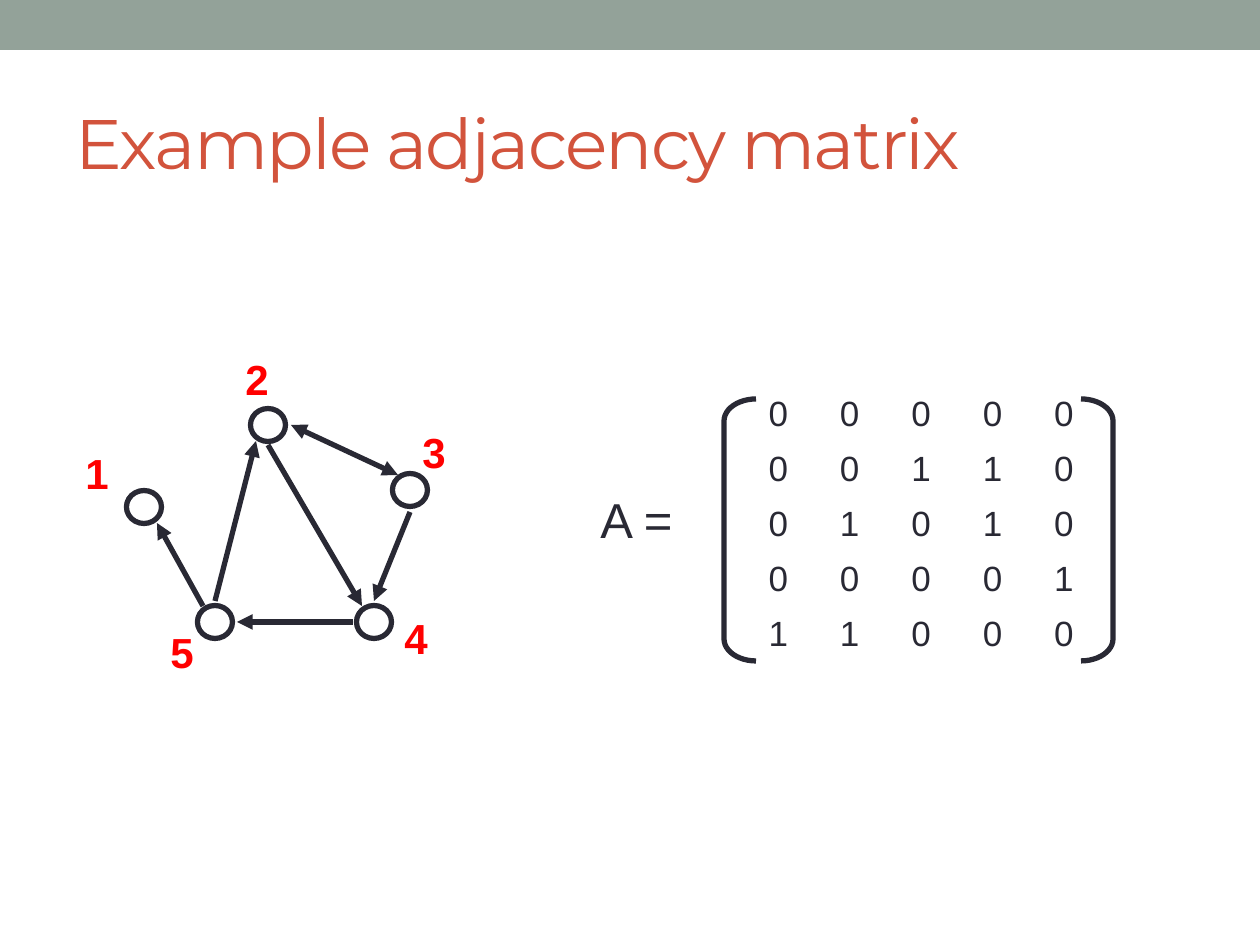
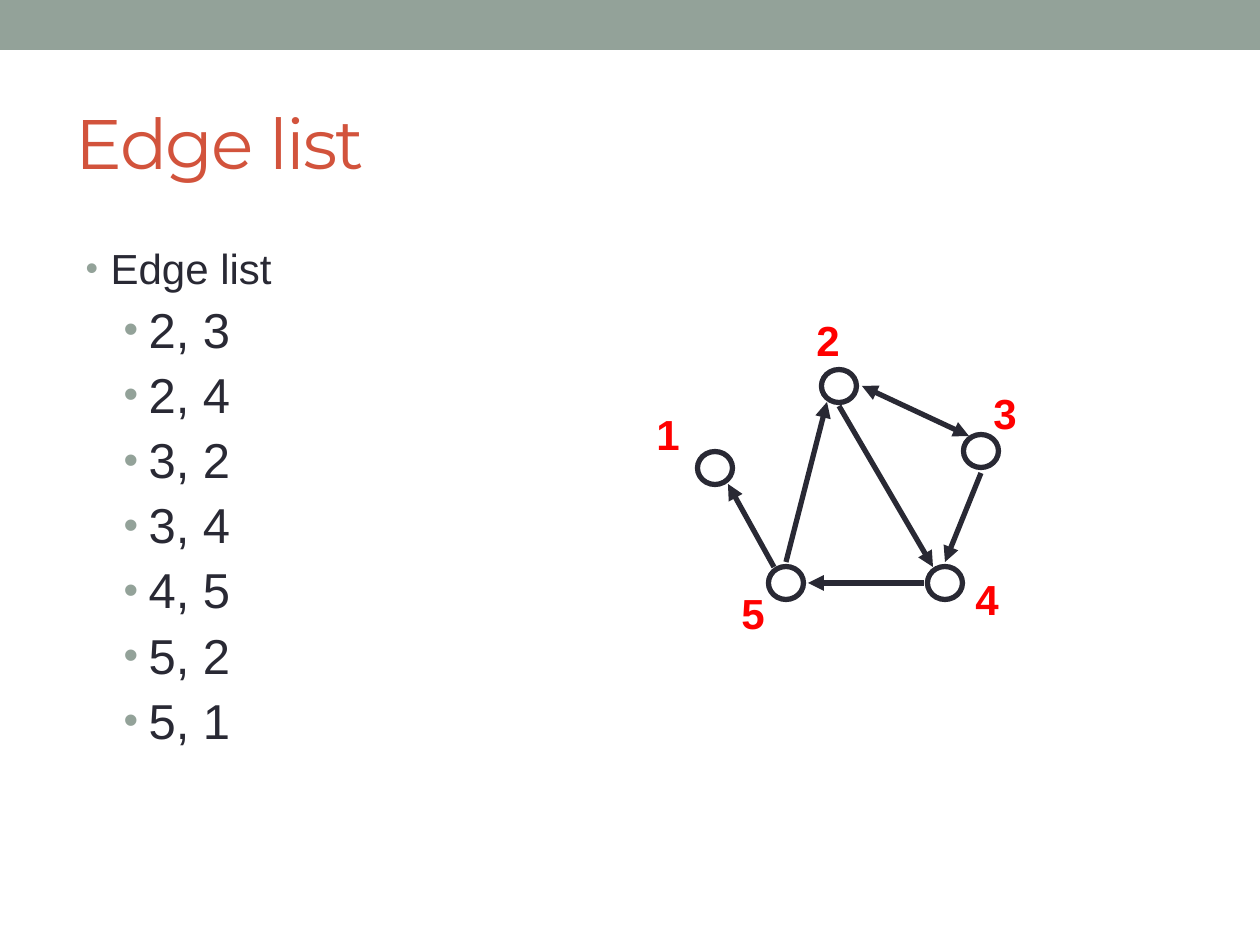
import pptx
import pptx.dml.color
import pptx.enum.shapes
import pptx.enum.text
import pptx.oxml.ns
import pptx.util
from lxml import etree

# Shared style
SAGE = pptx.dml.color.RGBColor(0x93, 0xA2, 0x99)
BRICK = pptx.dml.color.RGBColor(0xD2, 0x53, 0x3C)
INK = pptx.dml.color.RGBColor(0x29, 0x29, 0x34)
RED = pptx.dml.color.RGBColor(0xFF, 0x00, 0x00)
TITLE_FONT, TEXT_FONT = "Montserrat", "Arial"
PX_PER_INCH = 126
SHAPE = pptx.enum.shapes.MSO_SHAPE
ANCHOR = pptx.enum.text.MSO_ANCHOR

# Content: the directed edges give both the matrix and the list
MATRIX_TITLE = "Example adjacency matrix"
LIST_TITLE = "Edge list"
EDGES = [(2, 3), (2, 4), (3, 2), (3, 4), (4, 5), (5, 2), (5, 1)]
NODE_COUNT = 5

# Graph drawing in px from its own corner: node centre, label corner
NODES = {
    1: ((71, 160), (0, 94)),
    2: ((195, 78), (160, 0)),
    3: ((337, 143), (337, 73)),
    4: ((301, 275), (319, 259)),
    5: ((142, 275), (85, 273)),
}
# Arrow start, arrow end, whether it points both ways
ARROWS = [
    ((218, 78), (325, 128), True),
    ((337, 165), (301, 254), False),
    ((280, 275), (164, 275), False),
    ((195, 98), (289, 259), False),
    ((142, 254), (183, 94), False),
    ((130, 259), (84, 176), False),
]
NODE_WIDTH, NODE_HEIGHT = 35, 33
LABEL_SIZE = (49, 63)

# Places on the slides: left, top, width, height in px
BAND = (0, 0, 1260, 50)
TITLE = (63, 73, 1134, 136)
EDGE_LIST = (73, 242, 756, 724)
MATRIX = (756, 388, 357, 276)
BRACKETS = [(SHAPE.LEFT_BRACKET, (724, 399, 32, 262)),
            (SHAPE.RIGHT_BRACKET, (1081, 399, 32, 262))]
MATRIX_NAME = (588, 483, 98, 72)
GRAPH_BESIDE_MATRIX = (73, 347)
GRAPH_BESIDE_LIST = (644, 308)


def px(length):
    return pptx.util.Emu(round(length * 914400 / PX_PER_INCH))


def scaled(lengths):
    return [px(length) for length in lengths]


def add_child(parent, tag, **attributes):
    return etree.SubElement(parent, pptx.oxml.ns.qn(tag), attributes)


def set_font(para, size, color, name=TEXT_FONT, bold=False):
    para.font.size = pptx.util.Pt(size)
    para.font.name = name
    para.font.bold = bold
    para.font.color.rgb = color


def set_line(line):
    line.color.rgb = INK
    line.width = pptx.util.Pt(3)


def place(shape, frame):
    shape.left, shape.top, shape.width, shape.height = scaled(frame)


def add_outline(page, kind, frame):
    shape = page.shapes.add_shape(kind, *scaled(frame))
    shape.shadow.inherit = False
    shape.fill.background()
    set_line(shape.line)
    return shape


def add_label(page, text, frame, size, color, bold=False):
    box = page.shapes.add_textbox(*scaled(frame))
    box.text_frame.word_wrap = False
    para = box.text_frame.paragraphs[0]
    para.text = text
    set_font(para, size, color, bold=bold)


def add_arrow(page, start, end, both_ways):
    arrow = page.shapes.add_connector(
        pptx.enum.shapes.MSO_CONNECTOR.STRAIGHT, *scaled(start + end))
    set_line(arrow.line)
    line = arrow.line._get_or_add_ln()
    if both_ways:
        add_child(line, "a:headEnd", type="triangle")
    add_child(line, "a:tailEnd", type="triangle")
    add_child(arrow.element.spPr, "a:effectLst")


def add_graph(page, origin):
    def moved(point):
        return point[0] + origin[0], point[1] + origin[1]

    for center, _ in NODES.values():
        x, y = moved(center)
        add_outline(page, SHAPE.OVAL, (x - NODE_WIDTH / 2, y - NODE_HEIGHT / 2,
                                       NODE_WIDTH, NODE_HEIGHT))
    for start, end, both_ways in ARROWS:
        add_arrow(page, moved(start), moved(end), both_ways)
    for number, (_, corner) in NODES.items():
        add_label(page, str(number), moved(corner) + LABEL_SIZE, 24, RED, bold=True)


def add_page(deck, layout_index, title):
    page = deck.slides.add_slide(deck.slide_layouts[layout_index])
    place(page.shapes.title, TITLE)
    frame = page.shapes.title.text_frame
    frame.auto_size = pptx.enum.text.MSO_AUTO_SIZE.NONE
    frame.vertical_anchor = ANCHOR.MIDDLE
    para = frame.paragraphs[0]
    para.text = title
    para.alignment = pptx.enum.text.PP_ALIGN.LEFT
    set_font(para, 40, BRICK, TITLE_FONT)
    para.font._element.set("spc", "-100")
    return page


def move_band_to_master(deck, page):
    band = page.shapes.add_shape(SHAPE.RECTANGLE, *scaled(BAND))
    band.shadow.inherit = False
    band.fill.solid()
    band.fill.fore_color.rgb = SAGE
    band.line.fill.background()
    deck.slide_master.shapes.element.insert(2, band.element)


def add_matrix(page):
    table = page.shapes.add_table(NODE_COUNT, NODE_COUNT, *scaled(MATRIX)).table
    table.first_row = table.horz_banding = False
    for column in table.columns:
        column.width = px(MATRIX[2] / NODE_COUNT)
    for row in table.rows:
        row.height = px(MATRIX[3] / NODE_COUNT)
    for source in NODES:
        for target in NODES:
            cell = table.cell(source - 1, target - 1)
            cell.fill.background()
            for side in ("a:lnL", "a:lnR", "a:lnT", "a:lnB"):
                border = etree.Element(pptx.oxml.ns.qn(side), w="0")
                add_child(border, "a:noFill")
                fill = cell._tc.tcPr.find(pptx.oxml.ns.qn("a:noFill"))
                fill.addprevious(border)
            para = cell.text_frame.paragraphs[0]
            para.text = str(int((source, target) in EDGES))
            set_font(para, 20, INK)


def add_bullet(para, text, level, size):
    para.text = text
    para.level = level
    properties = para._p.get_or_add_pPr()
    properties.set("marL", str(px((25, 63)[level])))
    properties.set("indent", str(px(-25)))
    color = add_child(properties, "a:buClr")
    add_child(color, "a:srgbClr", val=str(SAGE))
    add_child(properties, "a:buSzPct", val="85000")
    add_child(properties, "a:buFont", typeface=TEXT_FONT)
    add_child(properties, "a:buChar", char="•")
    para.line_spacing = 0.9
    para.space_before = pptx.util.Pt(7 if level else 0)
    set_font(para, size, INK)


def build_matrix_page(deck):
    page = add_page(deck, 5, MATRIX_TITLE)
    move_band_to_master(deck, page)
    add_graph(page, GRAPH_BESIDE_MATRIX)
    add_matrix(page)
    for kind, frame in BRACKETS:
        add_outline(page, kind, frame).adjustments[0] = 0.69
    add_label(page, "A =", MATRIX_NAME, 28, INK)


def build_list_page(deck):
    page = add_page(deck, 1, LIST_TITLE)
    body = page.placeholders[1]
    place(body, EDGE_LIST)
    frame = body.text_frame
    frame.auto_size = pptx.enum.text.MSO_AUTO_SIZE.NONE
    frame.vertical_anchor = ANCHOR.TOP
    add_bullet(frame.paragraphs[0], LIST_TITLE, 0, 24)
    for source, target in EDGES:
        add_bullet(frame.add_paragraph(), f"{source}, {target}", 1, 28)
    add_graph(page, GRAPH_BESIDE_LIST)


def main():
    deck = pptx.Presentation()
    deck.slide_width, deck.slide_height = scaled((1260, 945))
    build_matrix_page(deck)
    build_list_page(deck)
    deck.save("out.pptx")


if __name__ == "__main__":
    main()
